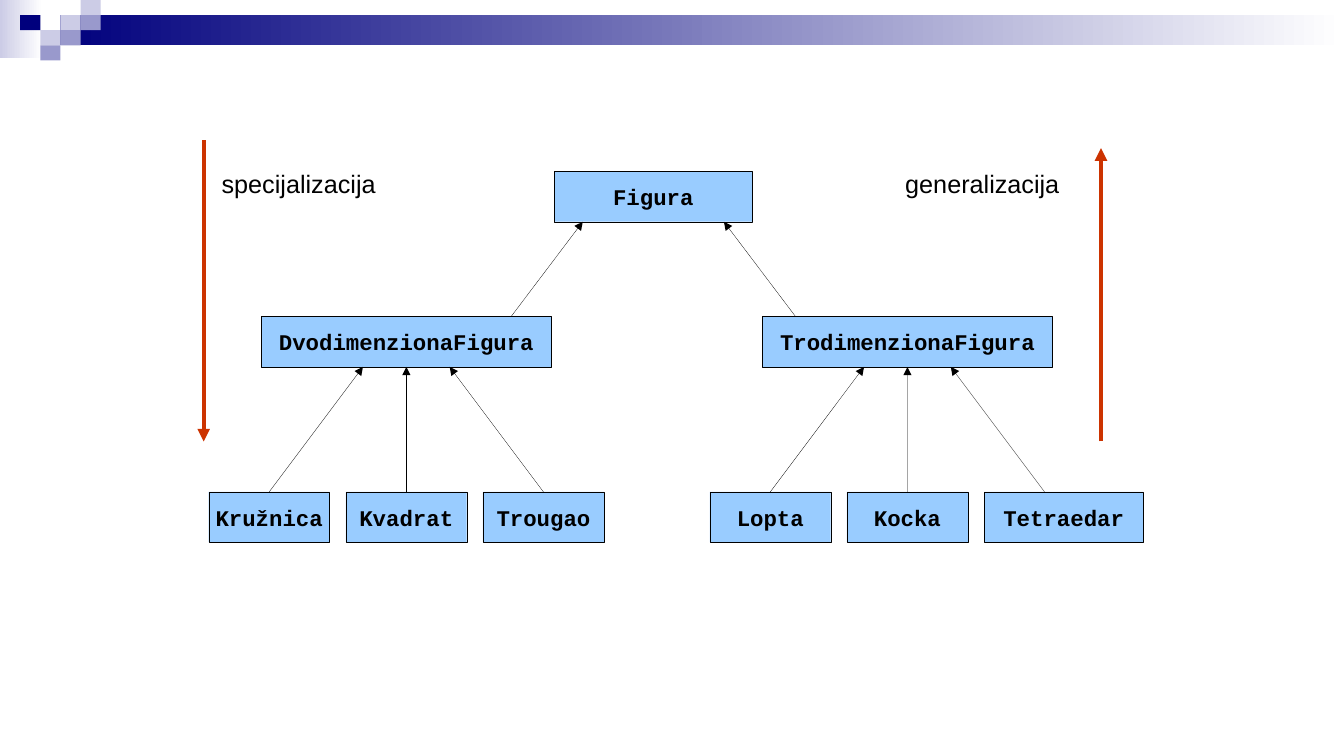
from pptx import Presentation
from pptx.dml.color import RGBColor
from pptx.enum.shapes import MSO_CONNECTOR as CONN, MSO_SHAPE as SHAPE
from pptx.enum.text import MSO_ANCHOR as ANCHOR, PP_ALIGN as ALIGN
from pptx.oxml.ns import qn
from pptx.util import Inches, Pt
from lxml.etree import SubElement

NAVY, LILAC, VIOLET, WHITE = "00007D", "CCCCE6", "9999CC", "FFFFFF"
SKY, BLACK, RED = "99CCFF", "000000", "CC3300"
BOX_H = 0.5
LEAF_W, LEAF_STEP = 1.2, 1.36
PARENT_W = 2.88
BRANCH_W = 2 * LEAF_STEP + LEAF_W


def rgb(code):
    return RGBColor.from_string(code)


def write(sp, text, size=18, font="Arial", bold=False, align=ALIGN.LEFT,
          anchor=ANCHOR.TOP, inset=None, wrap=False):
    tf = sp.text_frame
    tf.word_wrap, tf.vertical_anchor = wrap, anchor
    if inset is not None:
        tf.margin_left = tf.margin_right = Inches(inset)
        tf.margin_top = tf.margin_bottom = Inches(inset)
    p = tf.paragraphs[0]
    p.alignment = align
    r = p.add_run()
    r.text = text
    r.font.size, r.font.name, r.font.bold = Pt(size), font, bold
    r.font.color.rgb = rgb(BLACK)


def rect(s, x, y, w, h, fill, fade_to=None, line=None):
    sp = s.shapes.add_shape(SHAPE.RECTANGLE, *map(Inches, (x, y, w, h)))
    sp.shadow.inherit = False
    if fade_to:
        sp.fill.gradient()
        sp.fill.gradient_angle = 0
        for stop, color in zip(sp.fill.gradient_stops, (fill, fade_to)):
            stop.color.rgb = rgb(color)
    else:
        sp.fill.solid()
        sp.fill.fore_color.rgb = rgb(fill)
    if line:
        sp.line.color.rgb = rgb(line)
        sp.line.width = Pt(0.2)
    else:
        sp.line.fill.background()
    return sp


def arrow(s, x1, y1, x2, y2, color=BLACK, width=0.2):
    c = s.shapes.add_connector(CONN.STRAIGHT, *map(Inches, (x1, y1, x2, y2)))
    c.line.color.rgb = rgb(color)
    c.line.width = Pt(width)
    SubElement(c.line._get_or_add_ln(), qn("a:tailEnd"), type="triangle")
    SubElement(c._element.spPr, qn("a:effectLst"))


def class_box(s, name, x, y, w):
    sp = rect(s, x, y, w, BOX_H, SKY, line=BLACK)
    write(sp, name, size=16, font="Courier New", bold=True,
          align=ALIGN.CENTER, anchor=ANCHOR.MIDDLE, inset=0)


def header(s, width, cell_w=0.2, cell_h=0.15):
    # Fading bands, then a mosaic of (column, row) cells
    rect(s, 0, 0, 0.42, 0.58, LILAC, fade_to=WHITE)
    rect(s, 3 * cell_w, cell_h, width - 3 * cell_w, 2 * cell_h, NAVY, fade_to=WHITE)
    mosaic = {LILAC: [(3, 1), (4, 0), (2, 2)],
              VIOLET: [(4, 1), (3, 2), (2, 3)],
              NAVY: [(1, 1)]}
    for color, cells in mosaic.items():
        for col, row in cells:
            rect(s, col * cell_w, row * cell_h, cell_w, cell_h, color)


def branch(s, x, y, parent, leaves, last_w=LEAF_W):
    # Parent centred over three leaves, each leaf pointing up at it
    mid, leaf_y = x + BRANCH_W / 2, y + 1.74
    class_box(s, parent, mid - PARENT_W / 2, y, PARENT_W)
    for i, (name, w) in enumerate(zip(leaves, (LEAF_W, LEAF_W, last_w))):
        leaf_x = x + i * LEAF_STEP
        class_box(s, name, leaf_x, leaf_y, w)
        arrow(s, leaf_x + LEAF_W / 2, leaf_y, mid + (i - 1) * 0.43, y + BOX_H)


def hierarchy(s, x, y):
    # Root class above its two branches
    mid, branch_y = x + 4.41, y + 1.44
    class_box(s, "Figura", mid - 0.98, y, 1.96)
    branch(s, x, branch_y, "DvodimenzionaFigura", ("Kružnica", "Kvadrat", "Trougao"))
    branch(s, x + 4.97, branch_y, "TrodimenzionaFigura",
           ("Lopta", "Kocka", "Tetraedar"), last_w=1.58)
    for side in (-1, 1):
        arrow(s, mid + side * 1.41, branch_y, mid + side * 0.7, y + BOX_H)


def direction(s, text, text_x, x, start, end):
    # Red arrow with its label
    arrow(s, x, start, x, end, color=RED, width=3)
    tb = s.shapes.add_textbox(*map(Inches, (text_x, 1.62, 1.73, 0.4)))
    write(tb, text)


def main():
    prs = Presentation()
    prs.slide_width, prs.slide_height = Inches(13.33), Inches(7.5)
    s = prs.slides.add_slide(prs.slide_layouts[6])
    header(s, 13.33)
    hierarchy(s, 2.07, 1.7)
    direction(s, "specijalizacija", 2.1, 2.02, 1.39, 4.38)
    direction(s, "generalizacija", 8.88, 10.92, 4.38, 1.47)
    prs.save("out.pptx")


if __name__ == "__main__":
    main()
